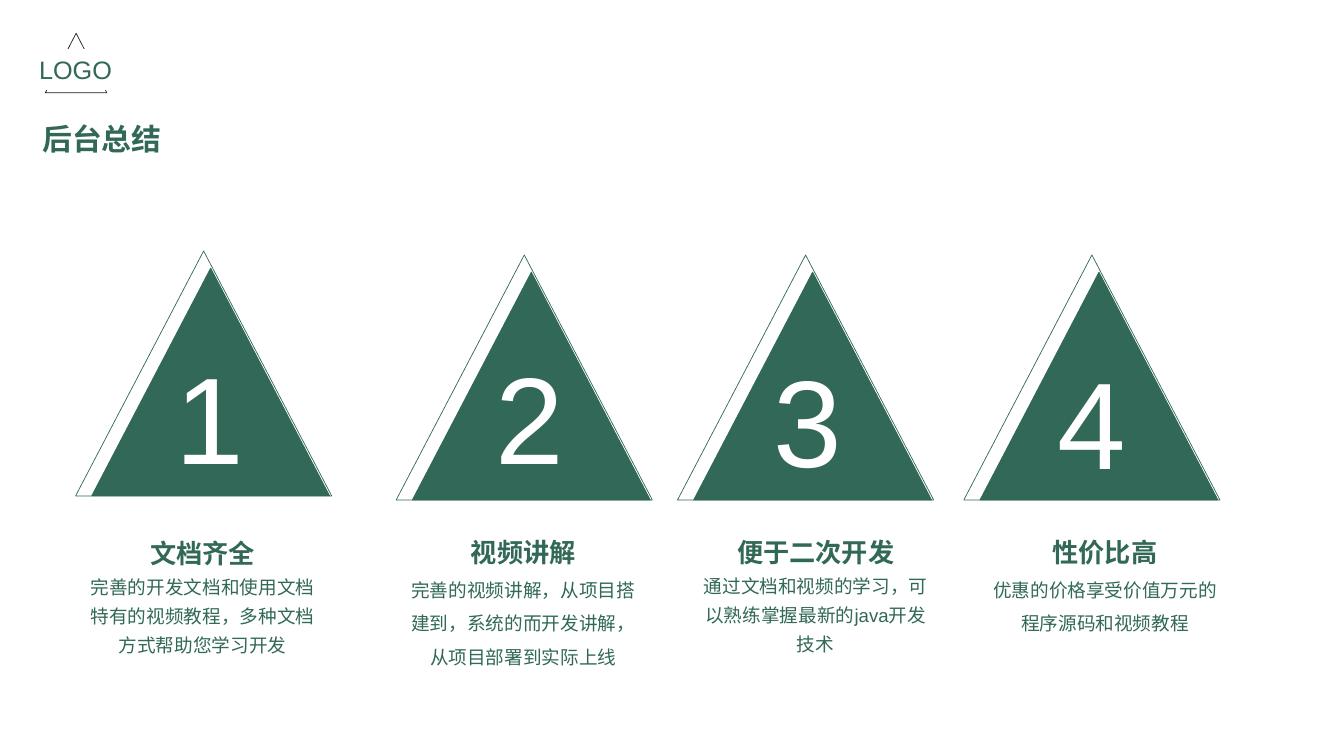
from dataclasses import dataclass
from typing import Optional

from lxml.etree import SubElement
from pptx import Presentation
from pptx.dml.color import RGBColor
from pptx.enum.shapes import MSO_SHAPE as Preset
from pptx.enum.text import MSO_ANCHOR as Anchor, PP_ALIGN as Align
from pptx.oxml.ns import qn
from pptx.shapes.autoshape import Shape
from pptx.slide import Slide
from pptx.text.text import TextFrame
from pptx.util import Inches, Pt


@dataclass(frozen=True)
class Theme:
    green: RGBColor = RGBColor(0x31, 0x68, 0x57)
    white: RGBColor = RGBColor(0xFF, 0xFF, 0xFF)
    ink: RGBColor = RGBColor(0x1F, 0x1F, 0x1F)
    latin: str = "Arial"
    chinese: str = "Noto Sans CJK SC"
    title: float = 21.3
    logo: float = 18
    heading: float = 18.7
    body: float = 13.3
    number: float = 88
    thin: float = 0.5


THEME = Theme()


@dataclass(frozen=True)
class Benefit:
    heading: str
    details: tuple[str, ...]
    left: float
    top: float
    number_at: tuple[float, float]
    text_at: tuple[float, float]
    text_height: float
    spacing: float


BENEFITS = (
    Benefit("文档齐全", ("完善的开发文档和使用文档", "特有的视频教程，多种文档方式帮助您学习开发"),
            0.75, 2.49, (1.64, 3.34), (0.79, 4.97), 1.6, 1.3),
    Benefit("视频讲解", ("完善的视频讲解，从项目搭建到，系统的而开发讲解，从项目部署到实际上线",),
            3.93, 2.53, (4.82, 3.34), (3.97, 4.96), 1.74, 1.5),
    Benefit("便于二次开发", ("通过文档和视频的学习，可以熟练掌握最新的java开发技术",),
            6.72, 2.53, (7.57, 3.37), (6.87, 4.96), 1.6, 1.3),
    Benefit("性价比高", ("优惠的价格享受价值万元的程序源码和视频教程",),
            9.56, 2.53, (10.39, 3.39), (9.74, 4.96), 1.4, 1.5),
)


def add_text(frame: TextFrame, text: str, *, size: float, color: RGBColor = THEME.green,
             bold: bool = False, font: str = THEME.latin, align: Align = Align.LEFT,
             spacing: float = 1.0) -> None:
    """Fill the empty first paragraph, or append a new one."""
    paragraph = frame.add_paragraph() if frame.text else frame.paragraphs[0]
    paragraph.alignment = align
    paragraph.line_spacing = spacing
    run = paragraph.add_run()
    run.text = text
    run.font.size = Pt(size)
    run.font.bold = bold
    run.font.color.rgb = color
    run.font.name = font
    SubElement(run.font._element, qn("a:ea"), typeface=THEME.chinese)


def add_frame(slide: Slide, left: float, top: float, width: float, height: float,
              *, wrap: bool = True) -> TextFrame:
    box = slide.shapes.add_textbox(Inches(left), Inches(top), Inches(width), Inches(height))
    box.text_frame.word_wrap = wrap
    return box.text_frame


def add_outlined(slide: Slide, preset: Preset, left: float, top: float, width: float,
                 height: float, *, line: RGBColor, weight: float = THEME.thin,
                 fill: Optional[RGBColor] = None) -> Shape:
    shape = slide.shapes.add_shape(preset, Inches(left), Inches(top),
                                   Inches(width), Inches(height))
    shape.shadow.inherit = False
    shape.line.color.rgb = line
    shape.line.width = Pt(weight)
    if fill is None:
        shape.fill.background()
    else:
        shape.fill.solid()
        shape.fill.fore_color.rgb = fill
    return shape


def add_header(slide: Slide) -> None:
    title = add_frame(slide, 0.29, 1.11, 3.15, 0.5)
    title.vertical_anchor = Anchor.MIDDLE
    title.margin_left = title.margin_right = Inches(0.13)
    title.margin_top = title.margin_bottom = Inches(0.07)
    add_text(title, "后台总结", size=THEME.title, bold=True, font=THEME.chinese, spacing=1.1)

    add_outlined(slide, Preset.ISOSCELES_TRIANGLE, 0.45, 0.33, 0.61, 0.59, line=THEME.ink)
    band = add_outlined(slide, Preset.RECTANGLE, 0.29, 0.49, 0.93, 0.4,
                        line=THEME.white, weight=0.75, fill=THEME.white)
    band.text_frame.word_wrap = False
    band.text_frame.vertical_anchor = Anchor.TOP
    add_text(band.text_frame, "LOGO", size=THEME.logo)


def add_benefit(slide: Slide, number: int, benefit: Benefit) -> None:
    left, top = benefit.left, benefit.top
    add_outlined(slide, Preset.ISOSCELES_TRIANGLE, left, top, 2.54, 2.43, line=THEME.green)
    add_outlined(slide, Preset.ISOSCELES_TRIANGLE, left + 0.16, top + 0.17, 2.36, 2.26,
                 line=THEME.green, fill=THEME.green)

    digit = add_frame(slide, *benefit.number_at, 0.89, 1.58, wrap=False)
    add_text(digit, str(number), size=THEME.number, color=THEME.white)

    summary = add_frame(slide, *benefit.text_at, 2.44, benefit.text_height)
    add_text(summary, benefit.heading, size=THEME.heading, bold=True,
             align=Align.CENTER, spacing=2.0)
    for detail in benefit.details:
        add_text(summary, detail, size=THEME.body, align=Align.CENTER, spacing=benefit.spacing)


def main() -> None:
    deck = Presentation()
    deck.slide_width, deck.slide_height = Inches(13.33), Inches(7.5)
    slide = deck.slides.add_slide(deck.slide_layouts[6])
    add_header(slide)
    for number, benefit in enumerate(BENEFITS, start=1):
        add_benefit(slide, number, benefit)
    deck.save("out.pptx")


if __name__ == "__main__":
    main()
